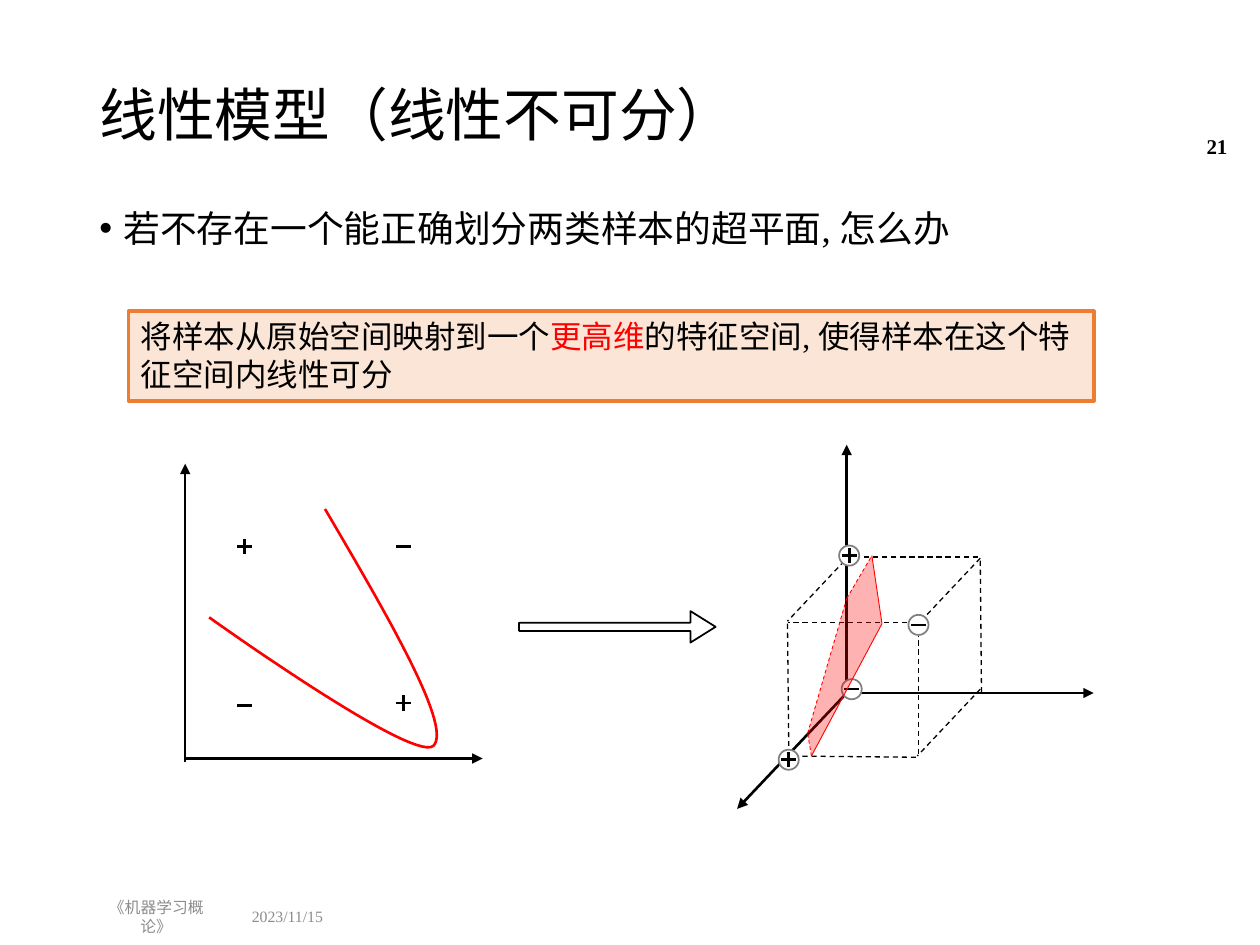
import dataclasses

import pptx
import pptx.dml.color
import pptx.enum.dml
import pptx.enum.shapes
import pptx.enum.text
import pptx.oxml
import pptx.oxml.ns
import pptx.util
from pptx.util import Inches

ALIGN = pptx.enum.text.PP_ALIGN
ANCHOR = pptx.enum.text.MSO_ANCHOR
SHAPE = pptx.enum.shapes.MSO_SHAPE


@dataclasses.dataclass(frozen=True)
class Theme:
    font: str = "Times New Roman"
    black: str = "000000"
    white: str = "FFFFFF"
    red: str = "FF0000"
    footer: str = "8C8C8C"
    ring: str = "808080"
    box_fill: str = "FBE5D6"
    box_line: str = "ED7D31"
    title_size: float = 33
    body_size: float = 21
    box_size: float = 18
    number_size: float = 12
    footer_size: float = 9
    bold_line: float = 1.5
    box_width: float = 2.25
    outline: float = 1
    dash_line: float = 0.75
    plane_line: float = 0.5


THEME = Theme()


def rgb(value):
    return pptx.dml.color.RGBColor.from_string(value)


def sub(parent, tag, **attrs):
    el = pptx.oxml.parse_xml(f"<{tag} {pptx.oxml.ns.nsdecls('a')}/>")
    for name, value in attrs.items():
        el.set(name, value)
    parent.append(el)
    return el


def set_line(line, color, width, dashed=False):
    line.color.rgb = rgb(color)
    line.width = pptx.util.Pt(width)
    if dashed:
        line.dash_style = pptx.enum.dml.MSO_LINE.DASH


def set_font(font, size, color, bold=False):
    font.name = THEME.font
    font.size = pptx.util.Pt(size)
    font.color.rgb = rgb(color)
    font.bold = bold


def add_text(s, at, text, size, color=THEME.black, anchor=ANCHOR.MIDDLE,
             align=ALIGN.LEFT, spacing=1.0, bold=False, bullet=None):
    tf = s.shapes.add_textbox(*map(Inches, at)).text_frame
    tf.word_wrap = True
    tf.vertical_anchor = anchor
    p = tf.paragraphs[0]
    p.text = text
    p.alignment = align
    p.line_spacing = spacing
    if bullet:
        pPr = p._p.get_or_add_pPr()
        pPr.set("marL", str(Inches(0.19)))
        pPr.set("indent", str(Inches(-0.19)))
        sub(pPr, "a:buFont", typeface="Arial")
        sub(pPr, "a:buChar", char=bullet)
    set_font(p.font, size, color, bold)


def add_shape(shapes, kind, at, fill, line, width):
    sp = shapes.add_shape(kind, *map(Inches, at))
    sp.shadow.inherit = False
    if fill:
        sp.fill.solid()
        sp.fill.fore_color.rgb = rgb(fill)
    else:
        sp.fill.background()
    set_line(sp.line, line, width)
    return sp


def add_callout(s, at, parts):
    sp = add_shape(s.shapes, SHAPE.RECTANGLE, at, THEME.box_fill, THEME.box_line, THEME.box_width)
    tf = sp.text_frame
    tf.word_wrap = True
    tf.vertical_anchor = ANCHOR.TOP
    p = tf.paragraphs[0]
    p.alignment = ALIGN.LEFT
    for text, color in parts:
        r = p.add_run()
        r.text = text
        set_font(r.font, THEME.box_size, color)


def add_line(shapes, start, end, color=THEME.black, width=THEME.bold_line,
             dashed=False, arrow=False):
    c = shapes.add_connector(pptx.enum.shapes.MSO_CONNECTOR.STRAIGHT,
                             *map(Inches, (*start, *end)))
    set_line(c.line, color, width, dashed)
    if arrow:
        sub(c.line._get_or_add_ln(), "a:tailEnd", type="triangle")
    sub(c._element.spPr, "a:effectLst")


def add_sign(shapes, center, positive, circled=False):
    x, y = center
    half, radius = 0.06, 0.08
    if circled:
        add_shape(shapes, SHAPE.OVAL, (x - radius, y - radius, 2 * radius, 2 * radius),
                  THEME.white, THEME.ring, THEME.outline)
    add_line(shapes, (x - half, y), (x + half, y))
    if positive:
        add_line(shapes, (x, y - half), (x, y + half))


def add_outline(shapes, points, close):
    pts = [(Inches(x), Inches(y)) for x, y in points]
    builder = shapes.build_freeform(*pts[0])
    builder.add_line_segments(pts[1:], close=close)
    sp = builder.convert_to_shape()
    sp.shadow.inherit = False
    return sp


def bezier(a, b, c, d, steps=30):
    for i in range(steps + 1):
        t = i / steps
        u = 1 - t
        weights = (u ** 3, 3 * u * u * t, 3 * u * t * t, t ** 3)
        yield tuple(sum(w * p[k] for w, p in zip(weights, (a, b, c, d))) for k in (0, 1))


def add_plot(s):
    for start, end in (((1.47, 6.05), (1.47, 3.68)), ((1.47, 6.02), (3.83, 6.02))):
        add_line(s.shapes, start, end, arrow=True)
    signs = (((1.94, 4.34), True), ((3.2, 4.34), False),
             ((1.94, 5.6), False), ((3.2, 5.58), True))
    for center, positive in signs:
        add_sign(s.shapes, center, positive)
    tip, end = (3.44, 5.92), (1.66, 4.9)
    upper = list(bezier((2.58, 4.04), (3.09, 4.91), (3.59, 5.77), tip))
    lower = list(bezier(tip, (3.28, 6.06), end, end))
    curve = add_outline(s.shapes, upper + lower[1:], close=False)
    curve.fill.background()
    set_line(curve.line, THEME.red, THEME.bold_line)


def add_cube(s):
    shapes = s.shapes.add_group_shape().shapes
    for end in ((6.72, 3.53), (8.68, 5.5), (5.85, 6.42)):
        add_line(shapes, (6.72, 5.5), end, arrow=True)
    edges = (
        ((6.75, 4.4), (6.25, 4.93)), ((6.25, 4.95), (6.26, 5.92)),
        ((7.78, 4.45), (7.79, 5.51)), ((7.76, 4.42), (6.74, 4.42)),
        ((7.27, 6.01), (6.25, 6)), ((7.78, 5.47), (7.28, 6)),
        ((7.27, 4.94), (6.25, 4.94)), ((7.29, 4.94), (7.29, 6)),
        ((7.78, 4.43), (7.28, 4.96)),
    )
    for start, end in edges:
        add_line(shapes, start, end, width=THEME.dash_line, dashed=True)
    signs = (((6.26, 6.03), True), ((6.74, 4.41), True),
             ((7.29, 4.96), False), ((6.76, 5.47), False))
    for center, positive in signs:
        add_sign(shapes, center, positive, circled=True)


def add_plane(s):
    corners = [(6.92, 4.41), (7, 4.95), (6.44, 6), (6.41, 5.82), (6.72, 4.75)]
    for i, start in enumerate(corners):
        add_line(s.shapes, start, corners[(i + 1) % len(corners)], THEME.red,
                 THEME.plane_line, dashed=i >= 2)
    plane = add_outline(s.shapes, corners, close=True)
    plane.fill.solid()
    plane.fill.fore_color.rgb = rgb(THEME.red)
    sub(plane.fill._xPr.find(".//" + pptx.oxml.ns.qn("a:srgbClr")), "a:alpha", val="30000")
    plane.line.fill.background()


def main():
    prs = pptx.Presentation()
    prs.slide_width, prs.slide_height = Inches(10), Inches(7.5)
    s = prs.slides.add_slide(prs.slide_layouts[6])
    add_text(s, (0.69, 0.4, 8.62, 1.07), "线性模型（线性不可分）", THEME.title_size, spacing=0.9)
    add_text(s, (0.69, 1.62, 8.62, 5.39), "若不存在一个能正确划分两类样本的超平面, 怎么办",
             THEME.body_size, anchor=ANCHOR.TOP, spacing=0.9, bullet="•")
    add_text(s, (1.9, 7.13, 0.91, 0.29), "2023/11/15", THEME.footer_size, THEME.footer)
    add_text(s, (0.69, 7.13, 1.1, 0.29), "《机器学习概论》", THEME.footer_size, THEME.footer,
             align=ALIGN.CENTER)
    add_text(s, (9.15, 0.96, 0.69, 0.4), "21", THEME.number_size, align=ALIGN.RIGHT, bold=True)
    add_callout(s, (1.02, 2.47, 7.66, 0.71), (
        ("将样本从原始空间映射到一个", THEME.black), ("更高维", THEME.red),
        ("的特征空间, 使得样本在这个特征空间内线性可分", THEME.black)))
    add_plot(s)
    add_cube(s)
    add_plane(s)
    arrow = add_shape(s.shapes, SHAPE.RIGHT_ARROW, (4.12, 4.85, 1.56, 0.25),
                      None, THEME.black, THEME.outline)
    arrow.adjustments[0], arrow.adjustments[1] = 0.26, 0.8
    prs.save("out.pptx")


if __name__ == "__main__":
    main()
